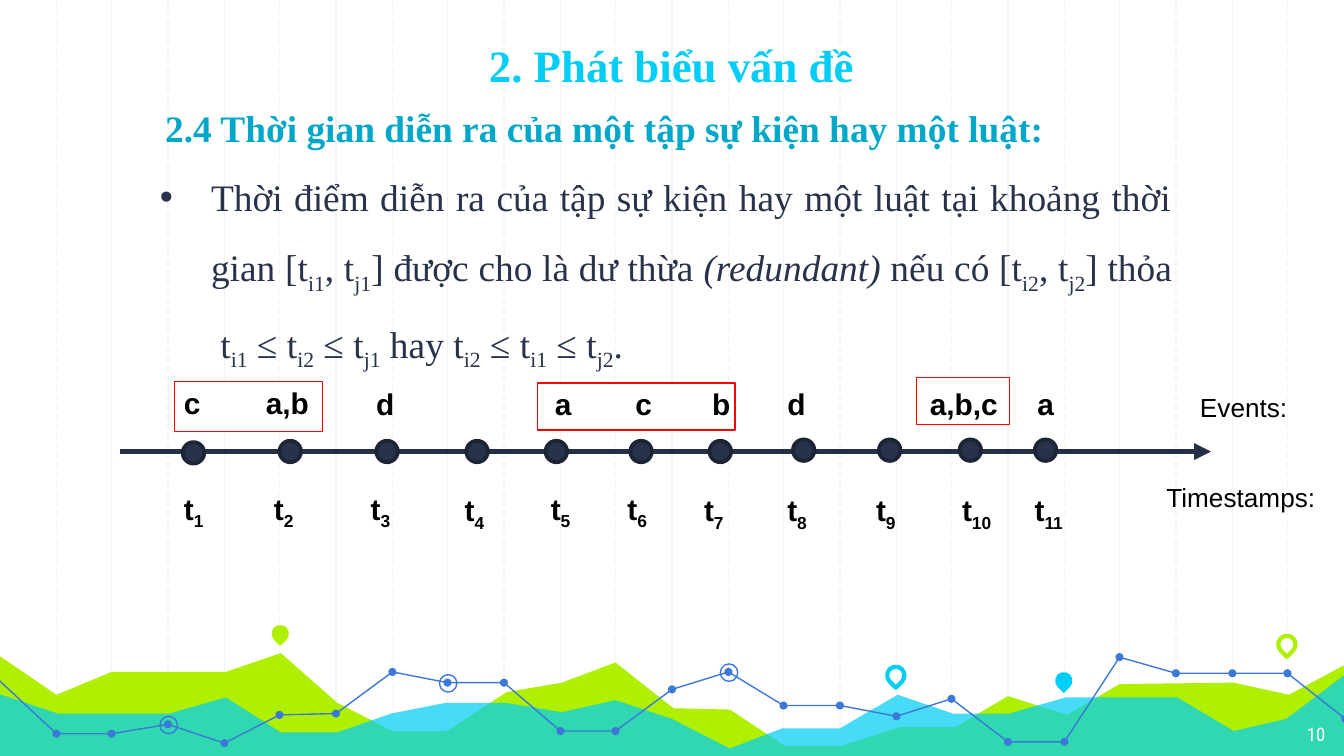
from typing import Any, NamedTuple

from lxml.etree import SubElement
from pptx import Presentation
from pptx.dml.color import RGBColor
from pptx.enum.dml import MSO_LINE
from pptx.enum.shapes import MSO_CONNECTOR, MSO_SHAPE
from pptx.enum.text import MSO_ANCHOR, MSO_AUTO_SIZE, PP_ALIGN
from pptx.oxml.ns import qn
from pptx.util import Emu, Pt

PX = 9144  # 100 px to the inch
WIDTH, HEIGHT = 1000, 562

WHITE = RGBColor(0xFF, 0xFF, 0xFF)
BLACK = RGBColor(0x00, 0x00, 0x00)
GRID = RGBColor(0xF3, 0xF3, 0xF3)
LIME = RGBColor(0xAF, 0xF0, 0x00)
CYAN = RGBColor(0x00, 0xCE, 0xF6)
TEAL = RGBColor(0x00, 0xA7, 0xC8)
BLUE = RGBColor(0x3C, 0x78, 0xD8)
RED = RGBColor(0xFF, 0x00, 0x00)
NAVY = RGBColor(0x28, 0x32, 0x4A)
AXIS = RGBColor(0x26, 0x2F, 0x48)
DOT_EDGE = RGBColor(0x1D, 0x24, 0x36)

TITLE = {"name": "Times New Roman", "size": Pt(24), "bold": True}
HEADING = {"name": "Times New Roman", "size": Pt(20), "bold": True}
BODY = {"name": "Times New Roman", "size": Pt(20), "bold": False}
NUMBER = {"name": "Roboto Condensed", "size": Pt(10)}
AXIS_NAME = {"name": "Arial", "size": Pt(14)}
LABEL = {"name": "Arial", "size": Pt(16), "bold": True}


class Box(NamedTuple):
    x: int
    y: int
    w: int
    h: int


class Pin(NamedTuple):
    x: int
    y: int
    color: RGBColor
    solid: bool


class Stop(NamedTuple):
    dot_x: int
    dot_y: int
    stamp_x: int
    stamp_y: int
    event: str = ""
    event_x: int = 0
    event_y: int = 282
    event_w: int = 43


LIME_HILLS = [
    (-2, 487), (42, 517), (83, 500), (168, 500), (209, 486), (251, 523), (292, 544), (333, 544),
    (377, 515), (418, 508), (458, 493), (501, 527), (543, 528), (584, 555), (626, 555), (670, 541),
    (711, 541), (750, 518), (794, 532), (833, 509), (918, 508), (959, 517), (1002, 494),
    (1001, 564), (-3, 564)]
CYAN_HILLS = [
    (-2, 516), (43, 531), (126, 531), (168, 519), (209, 545), (251, 545), (291, 531), (332, 523),
    (376, 523), (418, 530), (458, 521), (500, 535), (543, 557), (582, 542), (625, 542), (668, 517),
    (709, 531), (751, 531), (793, 519), (876, 519), (918, 544), (957, 535), (1002, 501),
    (1002, 565), (-3, 565)]
TREND = [
    (-1, 506), (42, 546), (83, 546), (125, 539), (167, 553), (208, 532), (250, 531), (292, 500),
    (333, 508), (375, 508), (417, 544), (458, 544), (500, 513), (542, 500), (583, 525), (625, 525),
    (667, 533), (708, 520), (750, 552), (792, 552), (833, 489), (875, 501), (917, 501), (958, 501),
    (1001, 535)]
RINGED = (8, 3, 13)
PINS = [Pin(202, 465, LIME, True), Pin(660, 496, CYAN, False),
        Pin(785, 500, CYAN, True), Pin(951, 473, LIME, False)]
EVENT_SETS = [Box(682, 281, 69, 35), Box(400, 285, 147, 35), Box(130, 284, 110, 37)]
STOPS = [
    Stop(136, 329, 127, 360, "c", 127, 281), Stop(208, 328, 194, 360, "a,b", 188, 281, 55),
    Stop(280, 328, 266, 360, "d", 270), Stop(347, 328, 336, 361),
    Stop(406, 328, 400, 360, "a", 403), Stop(469, 328, 457, 360, "c", 463),
    Stop(528, 328, 514, 361, "b", 520), Stop(590, 327, 576, 361, "d", 576),
    Stop(654, 327, 642, 361), Stop(714, 327, 706, 361, "a,b,c", 682, 282, 83),
    Stop(770, 327, 760, 361, "a", 762)]

prs = Presentation()
prs.slide_width, prs.slide_height = WIDTH * PX, Emu(5143500)  # 16:9
s = prs.slides.add_slide(prs.slide_layouts[1])


def paint(sp: Any, fill: RGBColor | None, line: RGBColor | None, width: float = 0.75) -> None:
    sp.shadow.inherit = False
    if fill is None:
        sp.fill.background()
    else:
        sp.fill.solid()
        sp.fill.fore_color.rgb = fill
    if line is None:
        sp.line.fill.background()
    else:
        sp.line.color.rgb, sp.line.width = line, Pt(width)


def add_shape(kind: MSO_SHAPE, box: Box, fill: RGBColor | None,
              line: RGBColor | None = None, width: float = 0.75) -> Any:
    sp = s.shapes.add_shape(kind, *(v * PX for v in box))
    paint(sp, fill, line, width)
    return sp


def add_outline(points: list[tuple[int, int]], closed: bool,
                fill: RGBColor | None, line: RGBColor | None = None) -> Any:
    fb = s.shapes.build_freeform(*points[0], scale=PX)
    fb.add_line_segments(points[1:], close=closed)
    sp = fb.convert_to_shape()
    paint(sp, fill, line)
    return sp


def add_line(x1: int, y1: int, x2: int, y2: int, color: RGBColor, width: float) -> Any:
    c = s.shapes.add_connector(MSO_CONNECTOR.STRAIGHT, x1 * PX, y1 * PX, x2 * PX, y2 * PX)
    c.line.color.rgb, c.line.width = color, Pt(width)
    SubElement(c._element.spPr, qn("a:effectLst"))
    return c


def add_runs(p: Any, text: str, fmt: dict[str, Any], color: RGBColor, italic: bool = False) -> None:
    """Write the text; every second part between bars is a subscript."""
    for i, part in enumerate(text.split("|")):
        if not part:
            continue
        r = p.add_run()
        r.text = part
        for name, value in fmt.items():
            setattr(r.font, name, value)
        r.font.color.rgb = color
        if italic:
            r.font.italic = True
        if i % 2:
            r._r.get_or_add_rPr().set("baseline", "-25000")


def set_frame(sp: Any, pad_y: int, fit: MSO_AUTO_SIZE, anchor: MSO_ANCHOR = MSO_ANCHOR.TOP) -> Any:
    tf = sp.text_frame
    frame = {"word_wrap": True, "auto_size": fit, "vertical_anchor": anchor,
             "margin_left": 10 * PX, "margin_right": 10 * PX,
             "margin_top": pad_y * PX, "margin_bottom": pad_y * PX}
    for name, value in frame.items():
        setattr(tf, name, value)
    return tf.paragraphs[0]


def add_label(text: str, box: Box, fmt: dict[str, Any], color: RGBColor = BLACK) -> None:
    sp = s.shapes.add_textbox(*(v * PX for v in box))
    add_runs(set_frame(sp, 5, MSO_AUTO_SIZE.SHAPE_TO_FIT_TEXT), text, fmt, color)


def place(sp: Any, box: Box) -> None:
    """Move a placeholder and bring it in front of what is drawn so far."""
    sp.left, sp.top, sp.width, sp.height = (v * PX for v in box)
    s.shapes._spTree.append(sp._element)


# Background grid: solid twelfths, dashed halfway between
for first, dash in ((2, None), (1, MSO_LINE.DASH)):
    for n in range(first, 24, 2):
        x = round(WIDTH * n / 24)
        add_line(x, 0, x, HEIGHT, GRID, 0.75).line.dash_style = dash

# Hills, pins and trend line along the bottom
add_outline(LIME_HILLS, True, LIME)
cyan_hills = add_outline(CYAN_HILLS, True, CYAN)
clr = cyan_hills._element.spPr.find(qn("a:solidFill"))[0]
SubElement(clr, qn("a:alpha"), val="72000")
for pin in PINS:
    sp = add_shape(MSO_SHAPE.TEAR, Box(pin.x, pin.y, 13, 13), pin.color if pin.solid else None,
                   None if pin.solid else pin.color, 2.25)
    sp.rotation = 135
for start, end in ((0, 12), (11, 21), (20, 25)):
    add_outline(TREND[start:end], False, None, BLUE)
for x, y in TREND[1:]:
    add_shape(MSO_SHAPE.OVAL, Box(x - 3, y - 3, 6, 6), BLUE)
for n in RINGED:
    x, y = TREND[n]
    add_shape(MSO_SHAPE.OVAL, Box(x - 6, y - 6, 13, 13), None, BLUE)

# Frames around event sets
for box in EVENT_SETS:
    add_shape(MSO_SHAPE.RECTANGLE, box, WHITE, RED)

# Title, slide number and body
title, body = s.shapes.title, s.placeholders[1]
place(title, Box(117, 0, 765, 78))
p = set_frame(title, 10, MSO_AUTO_SIZE.NONE, MSO_ANCHOR.BOTTOM)
p.alignment = PP_ALIGN.CENTER
add_runs(p, "2. Phát biểu vấn đề", TITLE, CYAN)

number = s.shapes.add_textbox(936 * PX, 528 * PX, 60 * PX, 34 * PX)
p = set_frame(number, 10, MSO_AUTO_SIZE.NONE)
p.alignment = PP_ALIGN.RIGHT
add_runs(p, "10", NUMBER, WHITE)

place(body, Box(98, 103, 784, 143))
p = set_frame(body, 10, MSO_AUTO_SIZE.NONE)
pPr = p._p.get_or_add_pPr()
pPr.set("marL", str(49 * PX))
pPr.set("indent", str(-38 * PX))
SubElement(SubElement(pPr, qn("a:buClr")), qn("a:srgbClr"), val=str(NAVY))
SubElement(pPr, qn("a:buFont"), typeface="Arial")
SubElement(pPr, qn("a:buChar"), char="•")
p.alignment, p.line_spacing, p.space_before = PP_ALIGN.JUSTIFY, 1.5, Pt(0)
add_runs(p, "Thời điểm diễn ra của tập sự kiện hay một luật tại khoảng thời gian "
            "[t|i1|, t|j1|] được cho là dư thừa ", BODY, NAVY)
add_runs(p, "(redundant)", BODY, NAVY, italic=True)
add_runs(p, " nếu có [t|i2|, t|j2|] thỏa  t|i1| ≤ t|i2| ≤ t|j1| hay t|i2| ≤ t|i1| ≤ t|j2|.", BODY, NAVY)

# Timeline with its events and timestamps
axis = add_line(89, 336, 901, 336, AXIS, 3)
SubElement(axis.line._get_or_add_ln(), qn("a:tailEnd"), type="triangle")
for n, stop in enumerate(STOPS, 1):
    add_shape(MSO_SHAPE.OVAL, Box(stop.dot_x, stop.dot_y, 16, 16), NAVY, DOT_EDGE, 2)
    add_label(f"t|{n}", Box(stop.stamp_x, stop.stamp_y, 43 if n < 10 else 55, 37), LABEL)
    if stop.event:
        add_label(stop.event, Box(stop.event_x, stop.event_y, stop.event_w, 37), LABEL)
add_label("Events:", Box(883, 286, 95, 34), AXIS_NAME)
add_label("Timestamps:", Box(858, 353, 132, 34), AXIS_NAME)

# Section heading
add_label("2.4 Thời gian diễn ra của một tập sự kiện hay một luật:", Box(113, 73, 802, 44), HEADING, TEAL)

prs.save("out.pptx")
